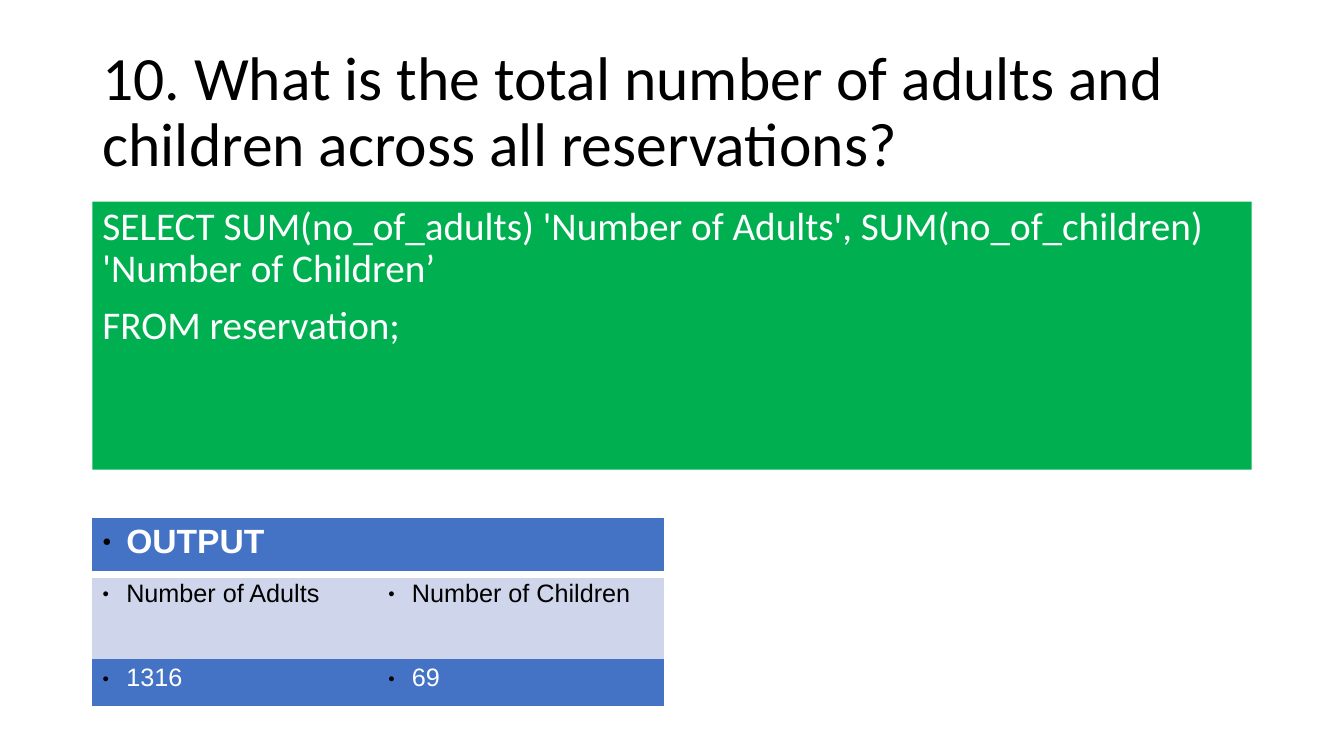
"""Build the slide with the reservation totals query and its output table."""
from dataclasses import dataclass

from lxml.etree import SubElement
from pptx import Presentation
from pptx.dml.color import RGBColor
from pptx.enum.text import MSO_ANCHOR as Anchor, MSO_AUTO_SIZE as AutoSize, PP_ALIGN as Align
from pptx.oxml import parse_xml
from pptx.oxml.ns import nsdecls, qn
from pptx.util import Pt

LEFT, WIDTH = 66, 828
BLACK, WHITE, GREEN, BLUE, PALE = "000000", "FFFFFF", "00B050", "4472C4", "CFD5EA"
NO_GRID_STYLE = "{2D5ABB26-0587-4C30-8999-92F81FD0307C}"
QUERY = (
    "SELECT SUM(no_of_adults) 'Number of Adults', SUM(no_of_children) 'Number of Children’",
    "FROM reservation;",
)


@dataclass(frozen=True)
class OutputRow:
    texts: tuple[str, ...]
    height: float
    fill: str
    color: str
    size: float = 18
    bold: bool = False
    rule: float = 0


OUTPUT_ROWS = (
    OutputRow(("OUTPUT", ""), 40.3, BLUE, WHITE, size=24, bold=True, rule=6),
    OutputRow(("Number of Adults", "Number of Children"), 60.5, PALE, BLACK),
    OutputRow(("1316", "69"), 33.8, BLUE, WHITE),
)


def set_fill(target, color: str) -> None:
    target.fill.solid()
    target.fill.fore_color.rgb = RGBColor.from_string(color)


def set_bullet(paragraph, bullet: str, indent: float) -> None:
    properties = paragraph._p.get_or_add_pPr()
    properties.set("marL", str(Pt(indent)))
    properties.set("indent", str(-Pt(indent)))
    if not bullet:
        SubElement(properties, qn("a:buNone"))
        return
    color = SubElement(properties, qn("a:buClr"))
    SubElement(color, qn("a:srgbClr"), val=BLACK)
    SubElement(properties, qn("a:buSzPct"), val="45000")
    SubElement(properties, qn("a:buFont"), typeface="Arial")
    SubElement(properties, qn("a:buChar"), char=bullet)


def write(paragraph, text: str, *, size: float, color: str, font: str = "Calibri",
          bold: bool = False, bullet: str = "", indent: float = 0,
          line_spacing: float = 1, space_before: float = 0) -> None:
    set_bullet(paragraph, bullet, indent)
    paragraph.alignment = Align.LEFT
    paragraph.line_spacing = line_spacing
    paragraph.space_before = Pt(space_before)
    run = paragraph.add_run()
    run.text = text
    run.font.name, run.font.size, run.font.bold = font, Pt(size), bold
    run.font.color.rgb = RGBColor.from_string(color)


def place(shape, top: float, height: float, anchor: Anchor):
    shape.left, shape.top, shape.width, shape.height = map(Pt, (LEFT, top, WIDTH, height))
    frame = shape.text_frame
    frame.word_wrap, frame.auto_size, frame.vertical_anchor = True, AutoSize.NONE, anchor
    return frame


def add_output_table(slide, rows: tuple[OutputRow, ...]) -> None:
    columns = len(rows[0].texts)
    table = slide.shapes.add_table(
        len(rows), columns, Pt(LEFT), Pt(370), Pt(408), Pt(sum(row.height for row in rows))
    ).table
    table.first_row = table.horz_banding = False
    table._tbl.tblPr.find(qn("a:tableStyleId")).text = NO_GRID_STYLE
    for row, table_row in zip(rows, table.rows):
        table_row.height = Pt(row.height)
        for text, cell in zip(row.texts, table_row.cells):
            set_fill(cell, row.fill)
            if row.rule:
                cell._tc.get_or_add_tcPr().insert(0, parse_xml(
                    f'<a:lnB {nsdecls("a")} w="{Pt(row.rule)}"><a:solidFill>'
                    f'<a:srgbClr val="{WHITE}"/></a:solidFill></a:lnB>'))
            if text:
                write(cell.text_frame.paragraphs[0], text, size=row.size, color=row.color,
                      font="Arial", bold=row.bold, bullet="●", indent=17)


def main() -> None:
    presentation = Presentation()
    presentation.slide_width, presentation.slide_height = Pt(960), Pt(540)
    slide = presentation.slides.add_slide(presentation.slide_layouts[1])
    title, body = slide.placeholders

    title_frame = place(title, 28.8, 104.4, Anchor.MIDDLE)
    write(title_frame.paragraphs[0],
          "10. What is the total number of adults and children across all reservations?",
          size=44, color=BLACK, line_spacing=0.9)

    query_frame = place(body, 144, 191.5, Anchor.TOP)
    set_fill(body, GREEN)
    for index, line in enumerate(QUERY):
        paragraph = query_frame.add_paragraph() if index else query_frame.paragraphs[0]
        write(paragraph, line, size=28, color=WHITE, line_spacing=0.9,
              space_before=10 if index else 0)

    add_output_table(slide, OUTPUT_ROWS)
    presentation.save("out.pptx")


if __name__ == "__main__":
    main()
